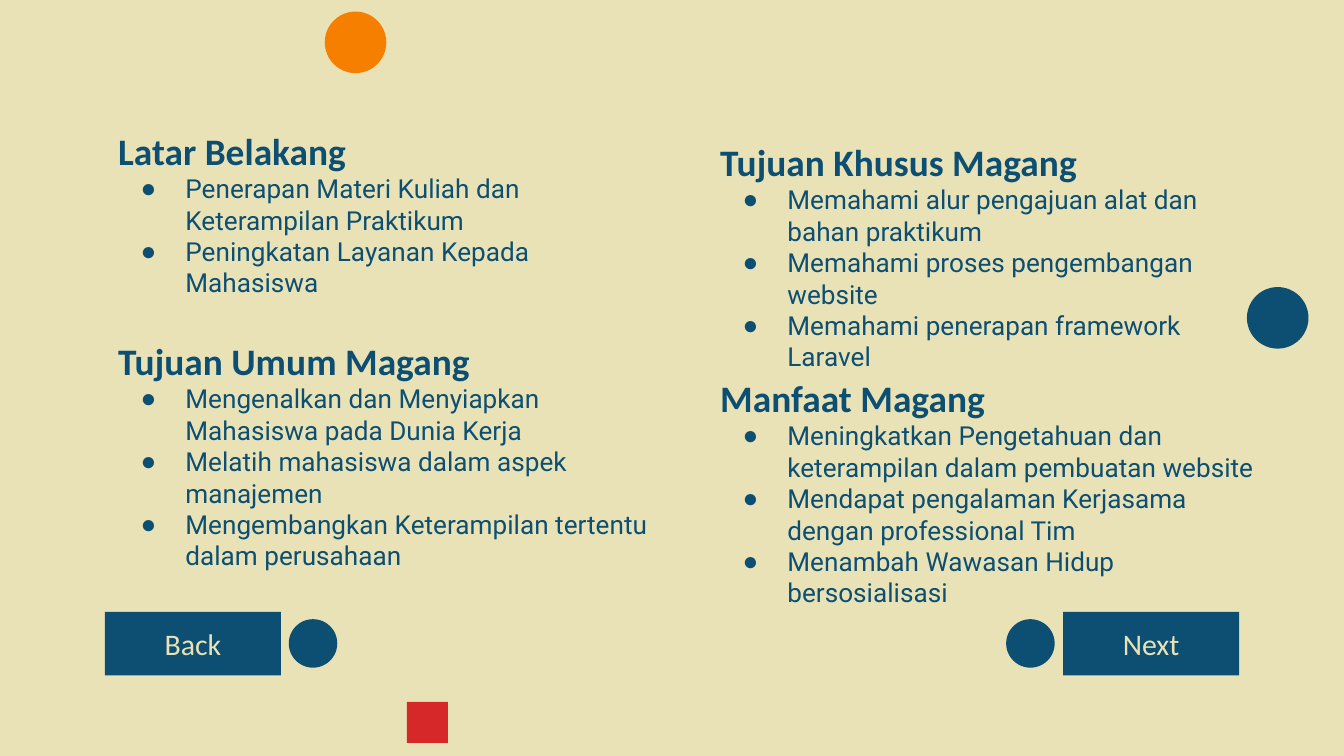
import pptx
import pptx.util
import pptx.dml.color
import pptx.enum.shapes
import pptx.enum.text
import pptx.oxml.ns
import lxml.etree

Pt = pptx.util.Pt
Kind = pptx.enum.shapes.MSO_SHAPE
Align = pptx.enum.text.PP_ALIGN
Anchor = pptx.enum.text.MSO_ANCHOR

NAVY = "0C4F72"
SAND = "EAE2B7"
ORANGE = "F77F00"
RED = "D62828"
LEFT, RIGHT, WIDE = 56.2, 378.7, 310.3


def color(code):
    return pptx.dml.color.RGBColor.from_string(code)


def style(para, face, size, code, bold=False):
    font = para.font
    font.name, font.size, font.bold = face, Pt(size), bold
    font.color.rgb = color(code)


def frame(shape, side=7.2, base=7.2):
    text = shape.text_frame
    text.word_wrap = True
    text.vertical_anchor = Anchor.MIDDLE
    text.margin_left = text.margin_top = Pt(7.2)
    text.margin_right = Pt(side)
    text.margin_bottom = Pt(base)
    return text


def bullet(para):
    props = para._p.get_or_add_pPr()
    props.set("marL", str(Pt(36)))
    props.set("indent", str(Pt(-24)))
    qn = pptx.oxml.ns.qn
    tint = lxml.etree.SubElement(props, qn("a:buClr"))
    lxml.etree.SubElement(tint, qn("a:srgbClr"), val=NAVY)
    lxml.etree.SubElement(props, qn("a:buFont"), typeface="Arial")
    lxml.etree.SubElement(props, qn("a:buChar"), char="●")


def shape(slide, kind, x, y, w, h, code):
    item = slide.shapes.add_shape(kind, Pt(x), Pt(y), Pt(w), Pt(h))
    item.shadow.inherit = False
    item.fill.solid()
    item.fill.fore_color.rgb = color(code)
    item.line.fill.background()
    return item


def dot(slide, x, y, size, code):
    shape(slide, Kind.OVAL, x, y, size, size, code)


def button(slide, x, label):
    item = shape(slide, Kind.RECTANGLE, x, 327.8, 94.3, 34, NAVY)
    para = frame(item).paragraphs[0]
    para.text = label
    para.alignment = Align.CENTER
    style(para, "Calibri", 16, SAND)


def section(slide, x, y, h, base, head, points):
    box = slide.shapes.add_textbox(Pt(x), Pt(y), Pt(WIDE), Pt(h))
    text = frame(box, 12, base)
    para = text.paragraphs[0]
    para.text = head
    style(para, "Calibri", 20, NAVY, True)
    for point in points:
        para = text.add_paragraph()
        para.text = point
        style(para, "Roboto", 14, NAVY)
        bullet(para)


def main():
    deck = pptx.Presentation()
    deck.slide_width, deck.slide_height = Pt(720), Pt(405)
    slide = deck.slides.add_slide(deck.slide_layouts[6])
    fill = slide.background.fill
    fill.solid()
    fill.fore_color.rgb = color(SAND)

    shape(slide, Kind.RECTANGLE, 218, 376, 22, 22, RED)
    dot(slide, 174, 6.2, 33, ORANGE)
    dot(slide, 668, 153.8, 33, NAVY)

    section(slide, LEFT, 67.7, 92.9, 7.2, "Latar Belakang", [
        "Penerapan Materi Kuliah dan Keterampilan Praktikum",
        "Peningkatan Layanan Kepada Mahasiswa",
    ])
    section(slide, RIGHT, 74.9, 136.8, 20, "Tujuan Khusus Magang", [
        "Memahami alur pengajuan alat dan bahan praktikum",
        "Memahami proses pengembangan website",
        "Memahami penerapan framework Laravel",
    ])
    section(slide, LEFT, 181.4, 126, 9, "Tujuan Umum Magang", [
        "Mengenalkan dan Menyiapkan Mahasiswa pada Dunia Kerja",
        "Melatih mahasiswa dalam aspek manajemen",
        "Mengembangkan Keterampilan tertentu dalam perusahaan",
    ])
    section(slide, RIGHT, 202.3, 136.8, 22, "Manfaat Magang", [
        "Meningkatkan Pengetahuan dan keterampilan dalam pembuatan website",
        "Mendapat pengalaman Kerjasama dengan professional Tim",
        "Menambah Wawasan Hidup bersosialisasi",
    ])

    button(slide, LEFT, "Back")
    button(slide, 569.5, "Next")
    for x in (154.7, 539):
        dot(slide, x, 331.7, 26, NAVY)

    deck.save("out.pptx")


if __name__ == "__main__":
    main()
